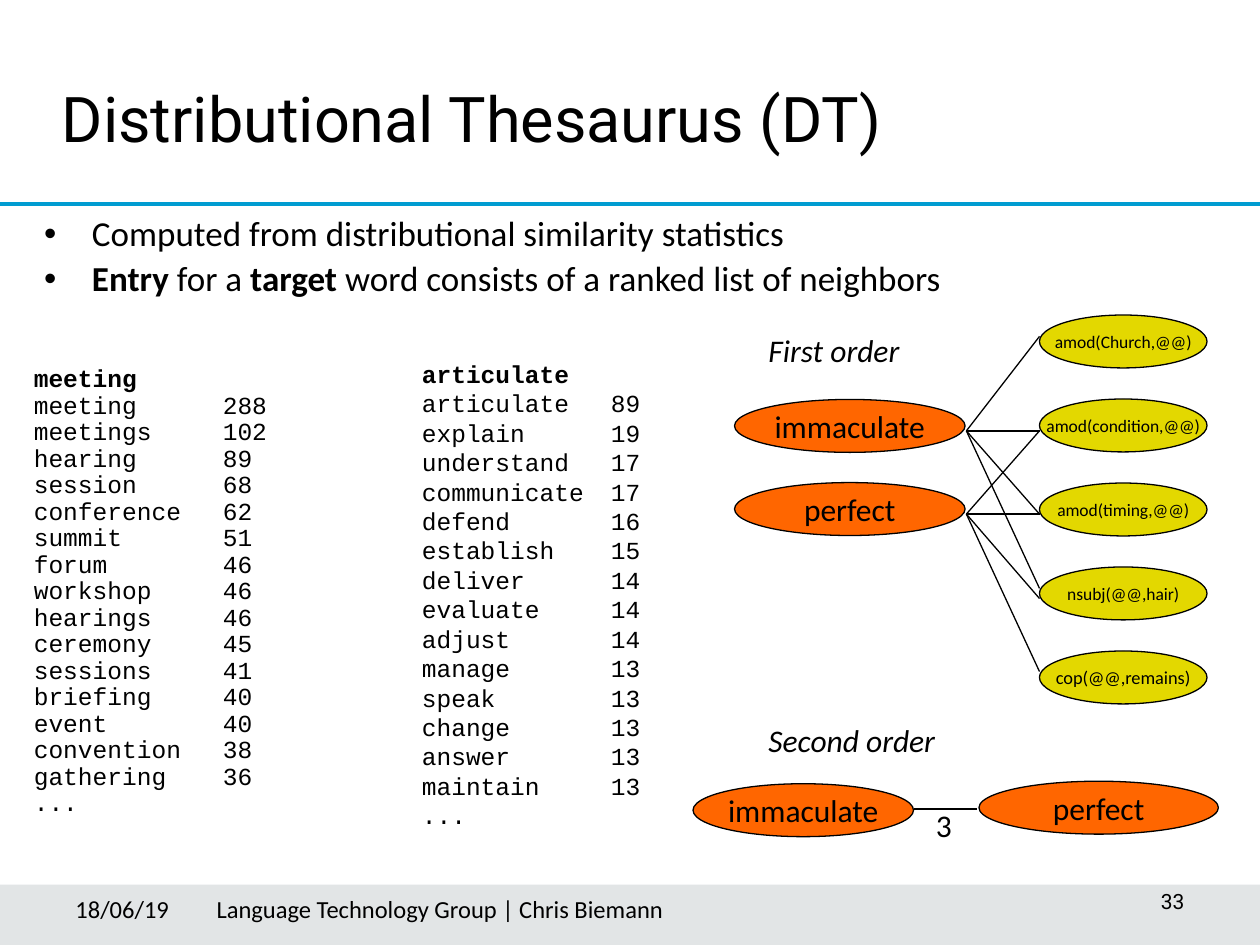
"""Build the Distributional Thesaurus slide."""
from lxml.etree import SubElement
from pptx import Presentation
from pptx.dml.color import RGBColor
from pptx.enum.shapes import MSO_CONNECTOR, MSO_SHAPE
from pptx.enum.text import MSO_ANCHOR as ANCHOR, MSO_AUTO_SIZE as AUTO_SIZE, PP_ALIGN as ALIGN
from pptx.oxml.ns import qn
from pptx.util import Inches, Pt

BLACK = RGBColor(0x00, 0x00, 0x00)
BLUE = RGBColor(0x00, 0x9C, 0xD1)
GREY = RGBColor(0xE2, 0xE5, 0xE6)
ORANGE = RGBColor(0xFF, 0x66, 0x00)
YELLOW = RGBColor(0xE3, 0xD8, 0x00)

deck = Presentation()
deck.slide_width, deck.slide_height = Inches(10), Inches(7.5)
page = deck.slides.add_slide(deck.slide_layouts[1])
shapes = page.shapes


def write(box, lines, size, font="Calibri", align=ALIGN.LEFT, wrap=True):
    frame = box.text_frame
    frame.word_wrap = wrap
    frame.auto_size = AUTO_SIZE.NONE
    frame.text = "\n".join(lines)
    for para in frame.paragraphs:
        para.alignment = align
        for span in para.runs:
            span.font.size, span.font.name = Pt(size), font
            span.font.color.rgb = BLACK
    return frame


def draw_line(start, end, color=BLACK, width=0.75):
    points = [Inches(value) for value in (*start, *end)]
    line = shapes.add_connector(MSO_CONNECTOR.STRAIGHT, *points)
    line.line.color.rgb, line.line.width = color, Pt(width)
    SubElement(line._element.spPr, qn("a:effectLst"))


band = shapes.add_shape(MSO_SHAPE.RECTANGLE, 0, Inches(7.02), Inches(10), Inches(0.48))
band.shadow.inherit = False
band.fill.solid()
band.fill.fore_color.rgb = GREY
band.line.fill.background()
draw_line((0, 1.62), (10, 1.62), BLUE, 2)

title = shapes.title
title.left, title.top, title.width, title.height = map(Inches, (0.39, 0.53, 7.52, 0.92))
frame = write(title, ["Distributional Thesaurus (DT)"], 36, "Roboto")
frame.vertical_anchor, frame.margin_top = ANCHOR.TOP, Inches(0.1)

body = page.placeholders[1]
body.left, body.top, body.width, body.height = map(Inches, (0.25, 1.67, 8.92, 1.42))
frame = write(body, ["Computed from distributional similarity statistics", "Entry"], 20)
entry = frame.paragraphs[1]
for text in (" for a ", "target", " word consists of a ranked list of neighbors"):
    entry.add_run().text = text
for span in entry.runs:
    span.font.size, span.font.name = Pt(20), "Calibri"
    span.font.color.rgb = BLACK
    span.font.bold = span.text in ("Entry", "target")
for para, space in zip(frame.paragraphs, (0, 4)):
    para.line_spacing, para.space_before = 0.9, Pt(space)
    properties = para._p.get_or_add_pPr()
    properties.set("marL", str(Inches(0.38)))
    properties.set("indent", str(Inches(-0.38)))
    SubElement(properties, qn("a:buChar"), char="•")

MEETING = [
    ("meeting", 288), ("meetings", 102), ("hearing", 89), ("session", 68),
    ("conference", 62), ("summit", 51), ("forum", 46), ("workshop", 46),
    ("hearings", 46), ("ceremony", 45), ("sessions", 41), ("briefing", 40),
    ("event", 40), ("convention", 38), ("gathering", 36),
]
ARTICULATE = [
    ("articulate", 89), ("explain", 19), ("understand", 17), ("communicate", 17),
    ("defend", 16), ("establish", 15), ("deliver", 14), ("evaluate", 14),
    ("adjust", 14), ("manage", 13), ("speak", 13), ("change", 13),
    ("answer", 13), ("maintain", 13),
]
for target, neighbors, place, spacing in (
    ("meeting", MEETING, (0.17, 2.86, 2.92, 3.71), 0.9),
    ("articulate", ARTICULATE, (3.25, 2.8, 3.25, 3.87), 1.0),
):
    box = shapes.add_textbox(*map(Inches, place))
    rows = [f"{word}\t{score}" for word, score in neighbors]
    frame = write(box, [target, *rows, "..."], 14, "Courier New")
    frame.paragraphs[0].runs[0].font.bold = True
    for para in frame.paragraphs:
        para.line_spacing = spacing
        tabs = SubElement(para._p.get_or_add_pPr(), qn("a:tabLst"))
        SubElement(tabs, qn("a:tab"), pos=str(Inches(1.5)), algn="l")

FEATURES = ["amod(Church,@@)", "amod(condition,@@)", "amod(timing,@@)",
            "nsubj(@@,hair)", "cop(@@,remains)"]
ovals = [
    ("immaculate", 5.83, 3.17, 1.83, ORANGE, 18),
    ("perfect", 5.83, 3.83, 1.83, ORANGE, 18),
    ("immaculate", 5.5, 6.22, 1.75, ORANGE, 18),
    ("perfect", 7.77, 6.2, 1.9, ORANGE, 18),
]
for row, feature in enumerate(FEATURES):
    size = 10.5 if feature.startswith("cop") else 10
    ovals.append((feature, 8.25, 2.5 + row * 2 / 3, 1.33, YELLOW, size))
for text, left, top, width, color, size in ovals:
    oval = shapes.add_shape(MSO_SHAPE.OVAL, *map(Inches, (left, top, width, 0.42)))
    oval.shadow.inherit = False
    oval.fill.solid()
    oval.fill.fore_color.rgb = color
    oval.line.color.rgb, oval.line.width = BLACK, Pt(0.75)
    frame = write(oval, [text], size, align=ALIGN.CENTER, wrap=False)
    frame.vertical_anchor = ANCHOR.MIDDLE

for start, ends in ((3.42, (2.67, 3.42, 4.08, 4.67)), (4.08, (3.42, 4.08, 4.75, 5.33))):
    for end in ends:
        draw_line((7.67, start), (8.25, end))
draw_line((7.25, 6.42), (7.75, 6.42))

for text, left, top, width, size, italic in (
    ("First order", 6, 2.58, 1.41, 18, True),
    ("Second order", 6, 5.67, 1.78, 18, True),
    ("3", 7.33, 6.35, 0.34, 18, False),
    ("18/06/19", 0.5, 7.05, 0.99, 14, False),
    ("Language Technology Group | Chris Biemann", 1.62, 7.05, 4.95, 14, False),
):
    box = shapes.add_textbox(*map(Inches, (left, top, width, 0.4)))
    frame = write(box, [text], size, wrap=False)
    frame.paragraphs[0].runs[0].font.italic = italic

number = shapes.add_textbox(*map(Inches, (7.17, 6.95, 2.33, 0.4)))
frame = write(number, ["33"], 12, "Roboto", ALIGN.RIGHT)
frame.vertical_anchor = ANCHOR.MIDDLE

deck.save("out.pptx")
